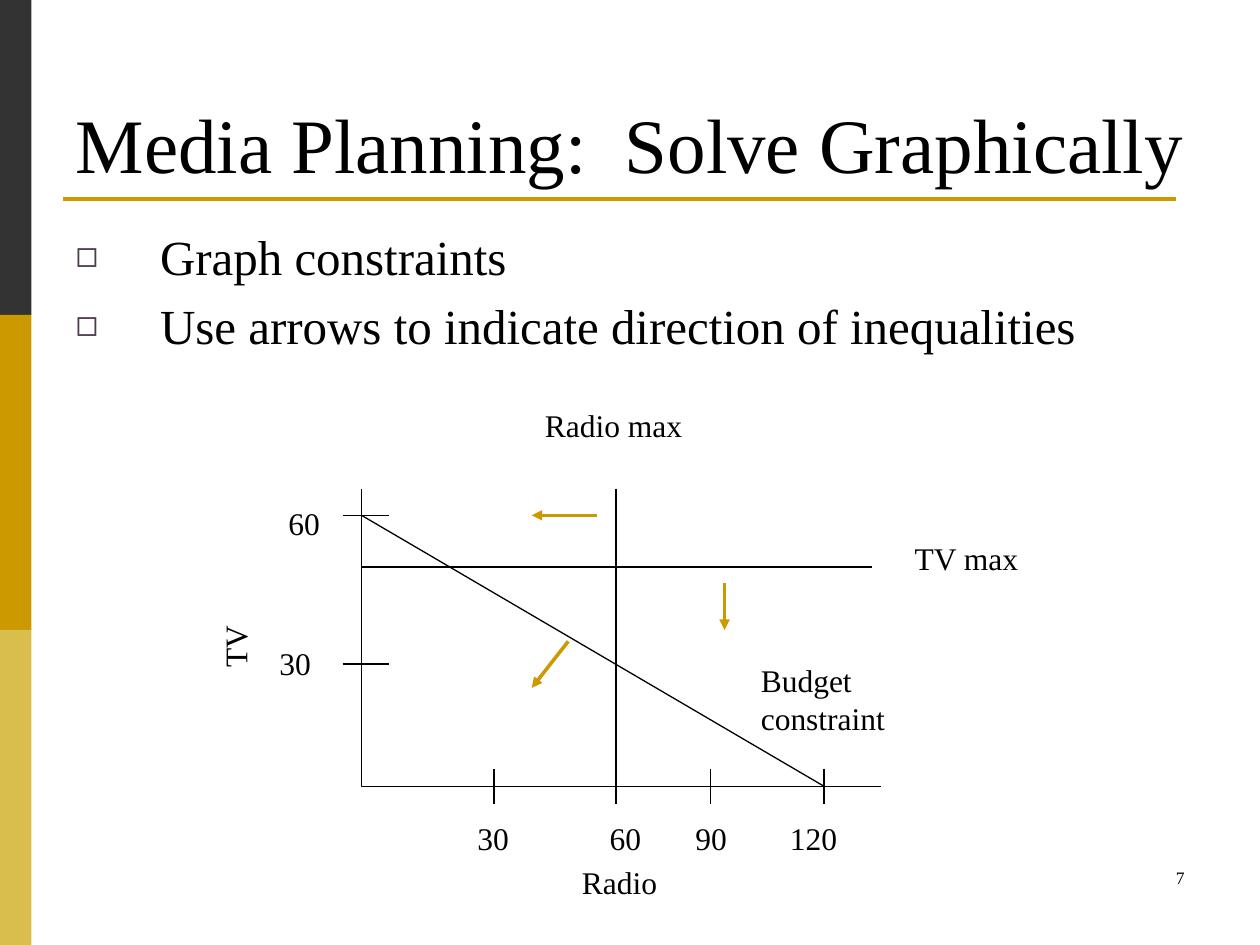
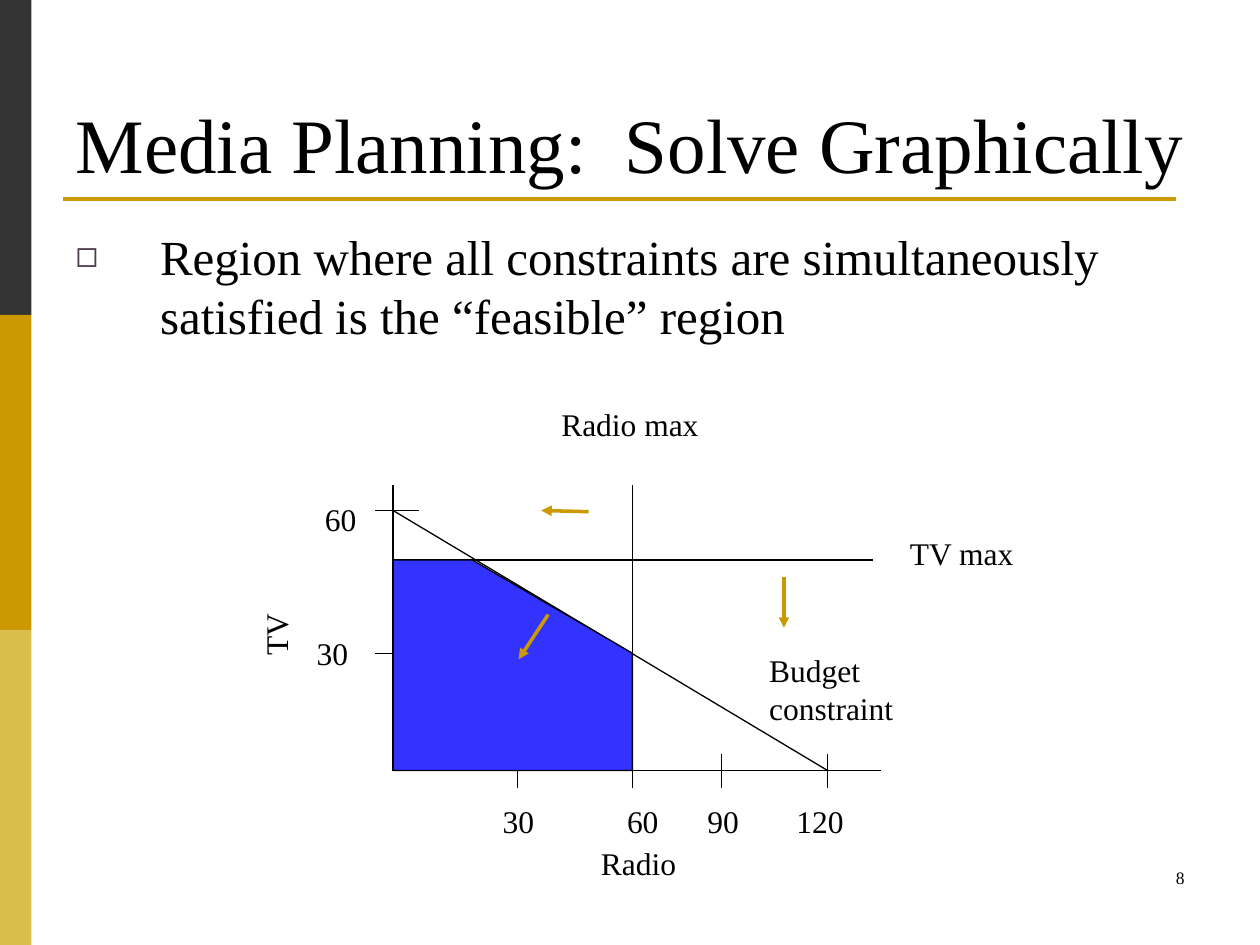
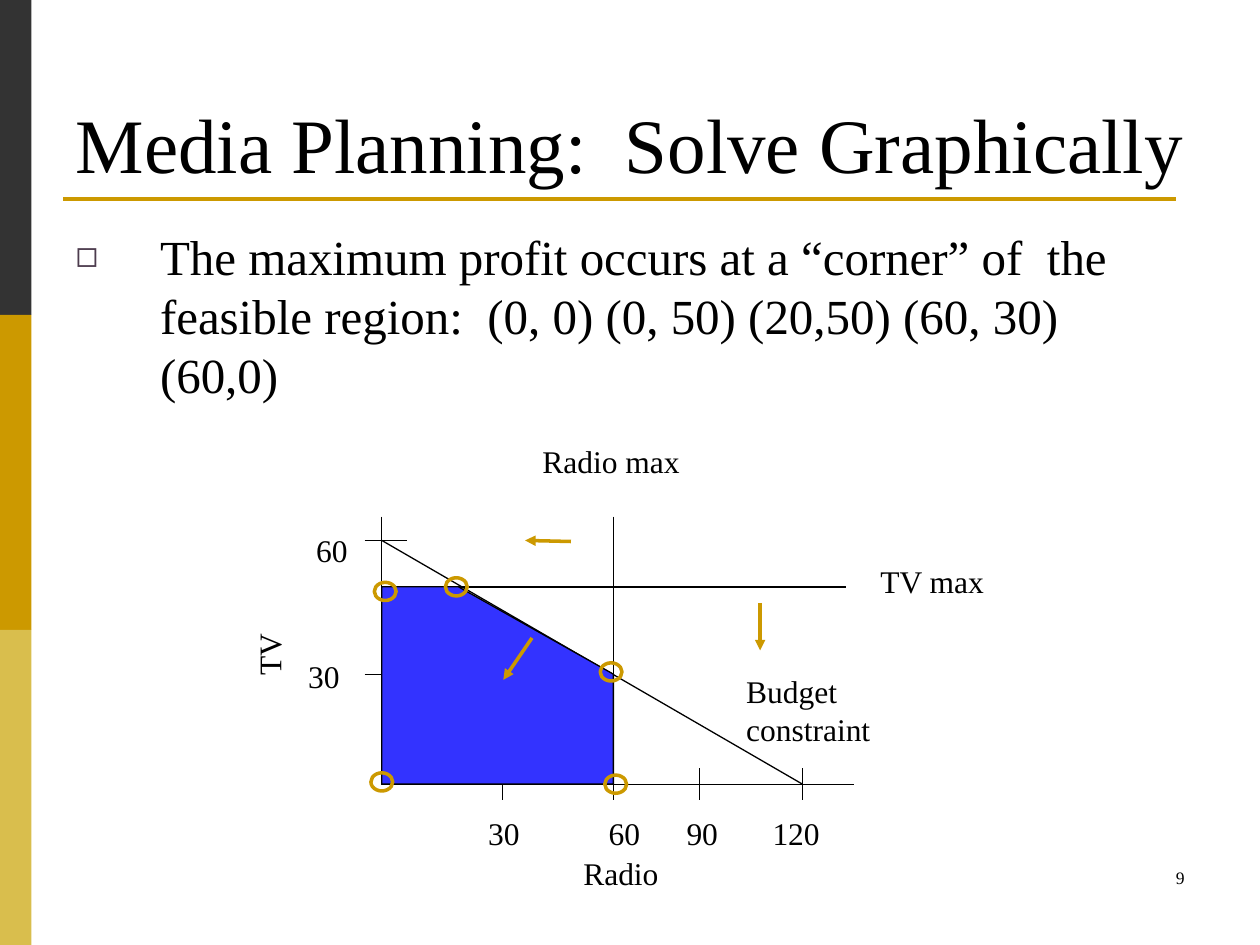
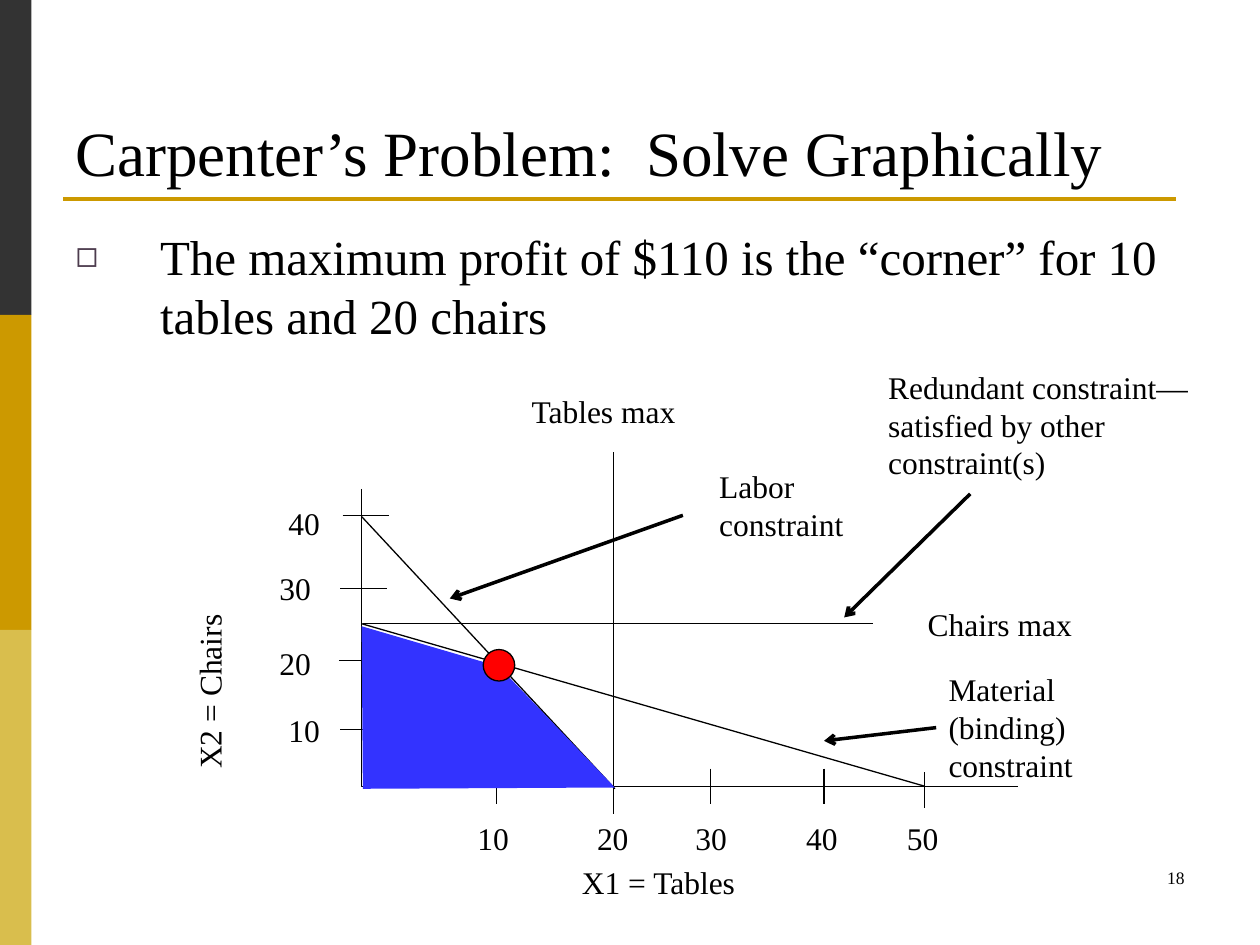
from lxml import etree
from pptx import Presentation
from pptx.dml.color import RGBColor
from pptx.enum.shapes import MSO_CONNECTOR, MSO_SHAPE
from pptx.enum.text import MSO_ANCHOR, MSO_AUTO_SIZE, PP_ALIGN
from pptx.oxml.ns import qn
from pptx.util import Inches, Pt

LEFT, CENTER, RIGHT = PP_ALIGN.LEFT, PP_ALIGN.CENTER, PP_ALIGN.RIGHT
STRAIGHT = MSO_CONNECTOR.STRAIGHT
RECTANGLE, OVAL = MSO_SHAPE.RECTANGLE, MSO_SHAPE.OVAL
FIT_SHAPE, NO_FIT = MSO_AUTO_SIZE.SHAPE_TO_FIT_TEXT, MSO_AUTO_SIZE.NONE
BOTTOM = MSO_ANCHOR.BOTTOM
LEFT_SIDE = 1

FONT = "Times New Roman"
BLACK, GOLD, BLUE, RED = "000000", "CC9900", "3333FF", "FF0000"
BULLET_COLOR = "4D3C4E"
BANDS = ["333333", GOLD, "D9BE4D"]
SLIDE_WIDTH, SLIDE_HEIGHT = 10, 7.5
THIN, THICK = 0.75, 2

AXIS_LEFT, AXIS_TOP, AXIS_BOTTOM = 2.87, 3.88, 6.24
TICK_TOP, TICK_HEIGHT, TICK_WIDTH = 6.1, 0.28, 0.37
X_LABEL_TOP, LABEL_HEIGHT, Y_LABEL_WIDTH = 6.45, 0.4, 0.53

MEDIA = {
    "axis_right": 6.99,
    "limits": [(2.87, 4.5, 6.92, 4.5), (4.89, 3.88, 4.89, 6.38)],
    "slopes": [(2.87, 4.09, 6.54, 6.24)],
    "x_ticks": [("30", 3.92, 3.69, 0.53), ("90", 5.64, 5.42, 0.52),
                ("120", 6.54, 6.17, 0.83)],
    "y_ticks": [("30", 2.12, 5.06, 2.72, 5.27), ("60", 2.19, 3.95, 2.72, 4.09)],
    "labels": [("Radio max", 4.12, 3.17, 1.5, 0.4, CENTER),
               ("Budget constraint", 5.94, 5.2, 1.5, 0.7, LEFT),
               ("TV max", 6.92, 4.23, 1.5, 0.4, CENTER),
               ("Radio", 4.52, 6.8, 0.97, 0.4, LEFT),
               ("60", 4.74, 6.45, 0.53, 0.4, LEFT)],
    "side_label": ("TV", 1.49, 4.82, 0.75, 0.4, LEFT),
    "arrows": [(4.74, 4.09, 4.22, 4.09), (5.75, 4.63, 5.75, 5),
               (4.51, 5.09, 4.22, 5.46)],
    "arrow_style": (GOLD, "triangle"),
}
FEASIBLE = MEDIA | {
    "region": [(4.89, 5.27), (3.54, 4.5), (2.87, 4.5), (2.87, 6.24), (4.89, 6.24)],
    "region_line": BLACK,
    "arrows": [(4.18, 4.95, 3.93, 5.32), (4.52, 4.1, 4.12, 4.09),
               (6.17, 4.64, 6.17, 5.06)],
}
CORNERS = FEASIBLE | {
    "circles": [(4.91, 6.24), (4.87, 5.25), (2.87, 6.22), (2.9, 4.54), (3.52, 4.5)],
    "circle_size": (0.19, 0.16),
    "circle_style": (None, GOLD, THICK),
}
CARPENTER = {
    "axis_right": 8.08,
    "limits": [(2.88, 4.95, 6.93, 4.95), (4.87, 3.59, 4.87, 6.46),
               (7.34, 6.13, 7.34, 6.41)],
    "slopes": [(2.87, 4.95, 7.34, 6.24), (2.87, 4.1, 4.88, 6.26)],
    "x_ticks": [("10", 3.94, 3.69, 0.53), ("30", 5.64, 5.42, 0.52),
                ("40", 6.54, 6.3, 0.83)],
    "y_ticks": [("10", 2.19, 5.59, 2.7, 5.79), ("20", 2.12, 5.06, 2.69, 5.24),
                ("30", 2.12, 4.47, 2.7, 4.67), ("40", 2.19, 3.95, 2.72, 4.09)],
    "labels": [("Tables max", 4.04, 3.06, 1.5, 0.4, CENTER),
               ("Material (binding) constraint", 7.43, 5.27, 1.73, 1.01, LEFT),
               ("Chairs max", 7.05, 4.75, 1.77, 0.4, CENTER),
               ("X1 = Tables", 4.52, 6.8, 1.81, 0.4, LEFT),
               ("20", 4.64, 6.45, 0.53, 0.4, LEFT),
               ("50", 7.1, 6.45, 0.83, 0.4, LEFT),
               ("Labor constraint", 5.61, 3.66, 1.73, 0.71, LEFT),
               ("Redundant constraint—satisfied by other constraint(s)",
                6.95, 2.87, 2.75, 1.01, LEFT)],
    "side_label": ("X2 = Chairs", 0.72, 5.06, 1.88, 0.4, LEFT),
    "region": [(2.87, 4.97), (3.96, 5.29), (4.88, 6.25), (2.88, 6.26)],
    "region_line": None,
    "circles": [(3.96, 5.28)],
    "circle_size": (0.25, 0.25),
    "circle_style": (RED, BLACK, THIN),
    "arrows": [(7.43, 5.77, 6.54, 5.88), (5.42, 4.09, 3.57, 4.75),
               (7.7, 3.92, 6.7, 4.9)],
    "arrow_style": (BLACK, "arrow"),
    "joined_label": "Material (binding) constraint",
}

MEDIA_TITLE = "Media Planning:  Solve Graphically"
SLIDES = [
    ("7", MEDIA_TITLE, 44,
     ["Graph constraints", "Use arrows to indicate direction of inequalities"],
     MEDIA, (2.87, 3.88, 1, 1)),
    ("8", MEDIA_TITLE, 44,
     ["Region where all constraints are simultaneously satisfied is the “feasible” region"],
     FEASIBLE, (3.12, 3.85, 0.94, 0.96)),
    ("9", MEDIA_TITLE, 44,
     ["The maximum profit occurs at a “corner” of  the feasible region:  "
      "(0, 0) (0, 50) (20,50) (60, 30) (60,0)"],
     CORNERS, (3.03, 4.1, 0.91, 0.9)),
    ("18", "Carpenter’s Problem:  Solve Graphically", 36,
     ["The maximum profit of $110 is the “corner” for 10 tables and 20 chairs"],
     CARPENTER, (2.87, 3.88, 1, 1)),
]


def color(value):
    return RGBColor.from_string(value)


def paint(shape, fill, line, width=THIN):
    shape.shadow.inherit = False
    if fill:
        shape.fill.solid()
        shape.fill.fore_color.rgb = color(fill)
    else:
        shape.fill.background()
    if line:
        shape.line.color.rgb = color(line)
        shape.line.width = Pt(width)
    else:
        shape.line.fill.background()


def move(shape, *box):
    shape.left, shape.top, shape.width, shape.height = map(Inches, box)


def write(paragraph, text, size, align=LEFT):
    paragraph.alignment = align
    run = paragraph.add_run()
    run.text = text
    run.font.name = FONT
    run.font.size = Pt(size)
    run.font.color.rgb = color(BLACK)


def add_label(slide, text, left, top, width, height, align, size=18):
    box = slide.shapes.add_textbox(*map(Inches, (left, top, width, height)))
    box.text_frame.word_wrap = True
    box.text_frame.auto_size = FIT_SHAPE
    write(box.text_frame.paragraphs[0], text, size, align)
    return box


def add_line(slide, ends, line=BLACK, width=THIN, head=None):
    connector = slide.shapes.add_connector(STRAIGHT, *map(Inches, ends))
    connector.line.color.rgb = color(line)
    connector.line.width = Pt(width)
    if head:
        etree.SubElement(connector.line._get_or_add_ln(), qn("a:tailEnd"), type=head)
    etree.SubElement(connector.element.spPr, qn("a:effectLst"))
    return connector


def add_outline(slide, points, fill=None, line=BLACK, close=False):
    corners = [(Inches(x), Inches(y)) for x, y in points]
    builder = slide.shapes.build_freeform(*corners[0])
    builder.add_line_segments(corners[1:], close=close)
    paint(builder.convert_to_shape(), fill, line)


def add_bullet(paragraph):
    paragraph.space_before = Pt(5.6)
    properties = paragraph._p.get_or_add_pPr()
    properties.set("marL", str(Inches(0.67)))
    properties.set("indent", str(-Inches(0.67)))
    bullet_color = etree.SubElement(properties, qn("a:buClr"))
    etree.SubElement(bullet_color, qn("a:srgbClr"), val=BULLET_COLOR)
    etree.SubElement(properties, qn("a:buSzPct"), val="75000")
    etree.SubElement(properties, qn("a:buChar"), char="◻")


def decorate_master(presentation, slide):
    height = SLIDE_HEIGHT / len(BANDS)
    parts = []
    for row, fill in enumerate(BANDS):
        band = slide.shapes.add_shape(
            RECTANGLE, *map(Inches, (0, row * height, SLIDE_WIDTH / 40, height)))
        paint(band, fill, None)
        parts.append(band)
    parts.append(add_line(slide, (0.5, 1.58, 9.33, 1.58), GOLD, THICK))
    tree = presentation.slide_master.element.cSld.spTree
    for position, part in enumerate(parts, start=2):
        tree.insert(position, part.element)


def fill_placeholders(slide, title_text, title_size, bullets):
    title, body = slide.placeholders
    move(title, 0.5, 0.89, 9, 0.66)
    title.text_frame.auto_size = NO_FIT
    title.text_frame.vertical_anchor = BOTTOM
    write(title.text_frame.paragraphs[0], title_text, title_size)
    move(body, 0.5, 1.75, 9, 4.95)
    body.text_frame.auto_size = NO_FIT
    for index, text in enumerate(bullets):
        frame = body.text_frame
        paragraph = frame.add_paragraph() if index else frame.paragraphs[0]
        write(paragraph, text, 28)
        add_bullet(paragraph)


def draw_graph(slide, graph, frame):
    left, top, scale_x, scale_y = frame

    def place(x, y):
        return left + (x - AXIS_LEFT) * scale_x, top + (y - AXIS_TOP) * scale_y

    def place_ends(x1, y1, x2, y2):
        return place(x1, y1) + place(x2, y2)

    def label(text, x, y, width, height, align=LEFT):
        return add_label(slide, text, *place(x, y),
                         width * scale_x, height * scale_y, align)

    axes = [(AXIS_LEFT, AXIS_TOP), (AXIS_LEFT, AXIS_BOTTOM),
            (graph["axis_right"], AXIS_BOTTOM)]
    add_outline(slide, [place(*point) for point in axes])
    for ends in graph["limits"]:
        add_line(slide, place_ends(*ends))
    for x1, y1, x2, y2 in graph["slopes"]:
        add_outline(slide, [place(x1, y1), place(x2, y2)])
    boxes = {item[0]: label(*item) for item in graph["labels"]}

    text, x, y, width, height, align = graph["side_label"]
    center_x, center_y = place(x + width / 2, y + height / 2)
    width, height = width * scale_y, height * scale_x
    side = add_label(slide, text, center_x - width / 2, center_y - height / 2,
                     width, height, align)
    side.rotation = 270

    for text, x, label_left, width in graph["x_ticks"]:
        add_line(slide, place_ends(x, TICK_TOP, x, TICK_TOP + TICK_HEIGHT))
        label(text, label_left, X_LABEL_TOP, width, LABEL_HEIGHT)
    for text, label_left, label_top, x, y in graph["y_ticks"]:
        add_line(slide, place_ends(x, y, x + TICK_WIDTH, y))
        label(text, label_left, label_top, Y_LABEL_WIDTH, LABEL_HEIGHT)

    if "region" in graph:
        add_outline(slide, [place(*point) for point in graph["region"]],
                    BLUE, graph["region_line"], close=True)
    for point in graph.get("circles", []):
        x, y = place(*point)
        width, height = graph["circle_size"]
        width, height = width * scale_x, height * scale_y
        circle = slide.shapes.add_shape(
            OVAL, *map(Inches, (x - width / 2, y - height / 2, width, height)))
        paint(circle, *graph["circle_style"])

    line, head = graph["arrow_style"]
    arrows = [add_line(slide, place_ends(*ends), line, THICK, head)
              for ends in graph["arrows"]]
    if "joined_label" in graph:
        arrows[0].begin_connect(boxes[graph["joined_label"]], LEFT_SIDE)


def main():
    presentation = Presentation()
    presentation.slide_width = Inches(SLIDE_WIDTH)
    presentation.slide_height = Inches(SLIDE_HEIGHT)
    layout = presentation.slide_layouts[1]
    for index, (number, title, size, bullets, graph, frame) in enumerate(SLIDES):
        slide = presentation.slides.add_slide(layout)
        if index == 0:
            decorate_master(presentation, slide)
        fill_placeholders(slide, title, size, bullets)
        add_label(slide, number, 7.17, 6.83, 2.33, 0.5, RIGHT, 10)
        draw_graph(slide, graph, frame)
    presentation.save("out.pptx")


if __name__ == "__main__":
    main()
